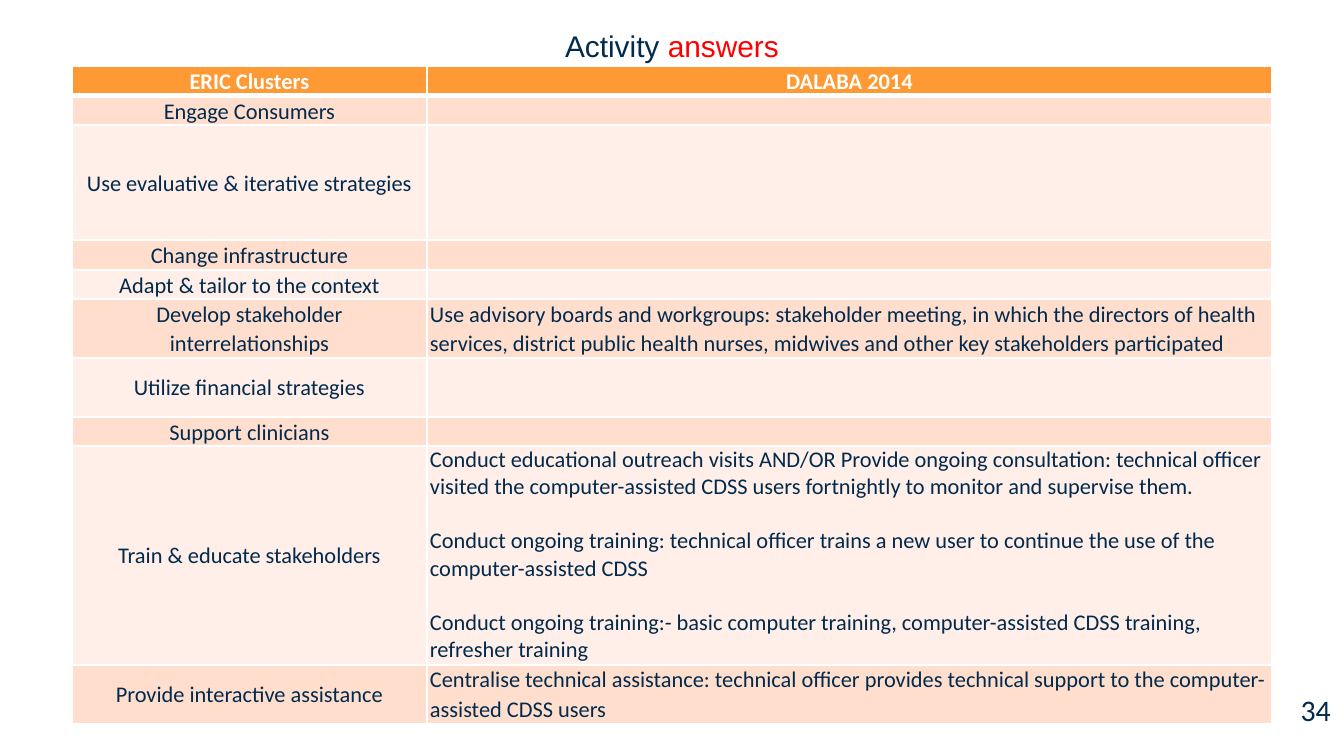
from lxml import etree
from pptx import Presentation
from pptx.dml.color import RGBColor
from pptx.enum.text import MSO_ANCHOR as Anchor, MSO_AUTO_SIZE as Auto, PP_ALIGN as Align
from pptx.oxml.ns import qn
from pptx.util import Pt

PX = 9144000 / 1344
NAVY, WHITE, RED = "012A4C", "FFFFFF", "FF0000"
ORANGE, PEACH, PALE = "FF9933", "FFDECE", "FFEFE8"

# Cluster, answers, row height in px
ROWS = [
    ("ERIC Clusters", ["DALABA 2014"], 30),
    ("Engage Consumers", [], 29),
    ("Use evaluative & iterative strategies", [], 115),
    ("Change infrastructure", [], 30),
    ("Adapt & tailor to the context", [], 29),
    ("Develop stakeholder interrelationships", [
        "Use advisory boards and workgroups: stakeholder meeting, in which the directors of "
        "health services, district public health nurses, midwives and other key stakeholders "
        "participated"], 59),
    ("Utilize financial strategies", [], 59),
    ("Support clinicians", [], 29),
    ("Train & educate stakeholders", [
        "Conduct educational outreach visits AND/OR Provide ongoing consultation: technical "
        "officer visited the computer-assisted CDSS users fortnightly to monitor and supervise "
        "them.",
        "Conduct ongoing training: technical officer trains a new user to continue the use of "
        "the computer-assisted CDSS",
        "Conduct ongoing training:- basic computer training, computer-assisted CDSS training, "
        "refresher training"], 219),
    ("Provide interactive assistance", [
        "Centralise technical assistance: technical officer provides technical support to the "
        "computer-assisted CDSS users"], 59),
]


def px(*nums):
    return [round(n * PX) for n in nums]


def rgb(code):
    return RGBColor.from_string(code)


def style(font, name, size, color, bold=False):
    font.name, font.size, font.bold = name, Pt(size), bold
    font.color.rgb = rgb(color)


def add_title(slide, box):
    title = slide.shapes.title
    title.left, title.top, title.width, title.height = px(*box)
    frame = title.text_frame
    frame.auto_size, frame.vertical_anchor = Auto.NONE, Anchor.TOP
    para = frame.paragraphs[0]
    para.alignment, para.line_spacing = Align.CENTER, 0.7
    style(para.font, "Arial", 16, NAVY)
    for text, color in (("Activity ", NAVY), ("answers", RED)):
        run = para.add_run()
        run.text = text
        run.font.color.rgb = rgb(color)


def add_edges(cell, base):
    """Draw white cell borders, with the bottom one base points wide."""
    props = cell._tc.get_or_add_tcPr()
    for side, width in (("L", 1), ("R", 1), ("T", 1), ("B", base)):
        line = etree.SubElement(props, qn("a:ln" + side), w=str(Pt(width)))
        fill = etree.SubElement(line, qn("a:solidFill"))
        etree.SubElement(fill, qn("a:srgbClr"), val=WHITE)


def fill_cell(cell, texts, color, head, center):
    add_edges(cell, 3 if head else 1)
    cell.fill.solid()
    cell.fill.fore_color.rgb = rgb(color)
    cell.margin_left = cell.margin_right = px(3)[0]
    cell.margin_top = cell.margin_bottom = 0
    cell.vertical_anchor = Anchor.MIDDLE if center and not head else Anchor.TOP
    frame = cell.text_frame
    for i, text in enumerate(texts or [""]):
        para = frame.add_paragraph() if i else frame.paragraphs[0]
        para.text = text
        para.alignment = Align.CENTER if center else Align.LEFT
        para.line_spacing = 1.0 if len(texts) > 1 else 1.07
        if i:
            para.space_before = Pt(14.5)
        style(para.font, "Calibri", 12, WHITE if head else NAVY, head)
        if not text:
            etree.SubElement(para._p, qn("a:endParaRPr"), sz="1200")


def add_grid(slide, box):
    left, top, width, height = px(*box)
    table = slide.shapes.add_table(len(ROWS), 2, left, top, width, height).table
    table.columns[0].width, table.columns[1].width = px(355, box[2] - 355)
    for i, (name, texts, tall) in enumerate(ROWS):
        head = i == 0
        color = ORANGE if head else PEACH if i % 2 else PALE
        table.rows[i].height = px(tall)[0]
        fill_cell(table.cell(i, 0), [name], color, head, True)
        fill_cell(table.cell(i, 1), texts, color, head, head)


def add_number(slide, box):
    frame = slide.shapes.add_textbox(*px(*box)).text_frame
    frame.word_wrap, frame.vertical_anchor = True, Anchor.MIDDLE
    para = frame.paragraphs[0]
    para.text, para.alignment = "34", Align.RIGHT
    style(para.font, "Calibri", 16, NAVY)


def main():
    deck = Presentation()
    deck.slide_width, deck.slide_height = px(1344, 756)
    slide = deck.slides.add_slide(deck.slide_layouts[5])
    add_number(slide, (1042, 690, 302, 40))
    add_grid(slide, (72, 66, 1200, sum(row[2] for row in ROWS)))
    add_title(slide, (67, 31, 1210, 40))
    deck.save("out.pptx")


if __name__ == "__main__":
    main()
